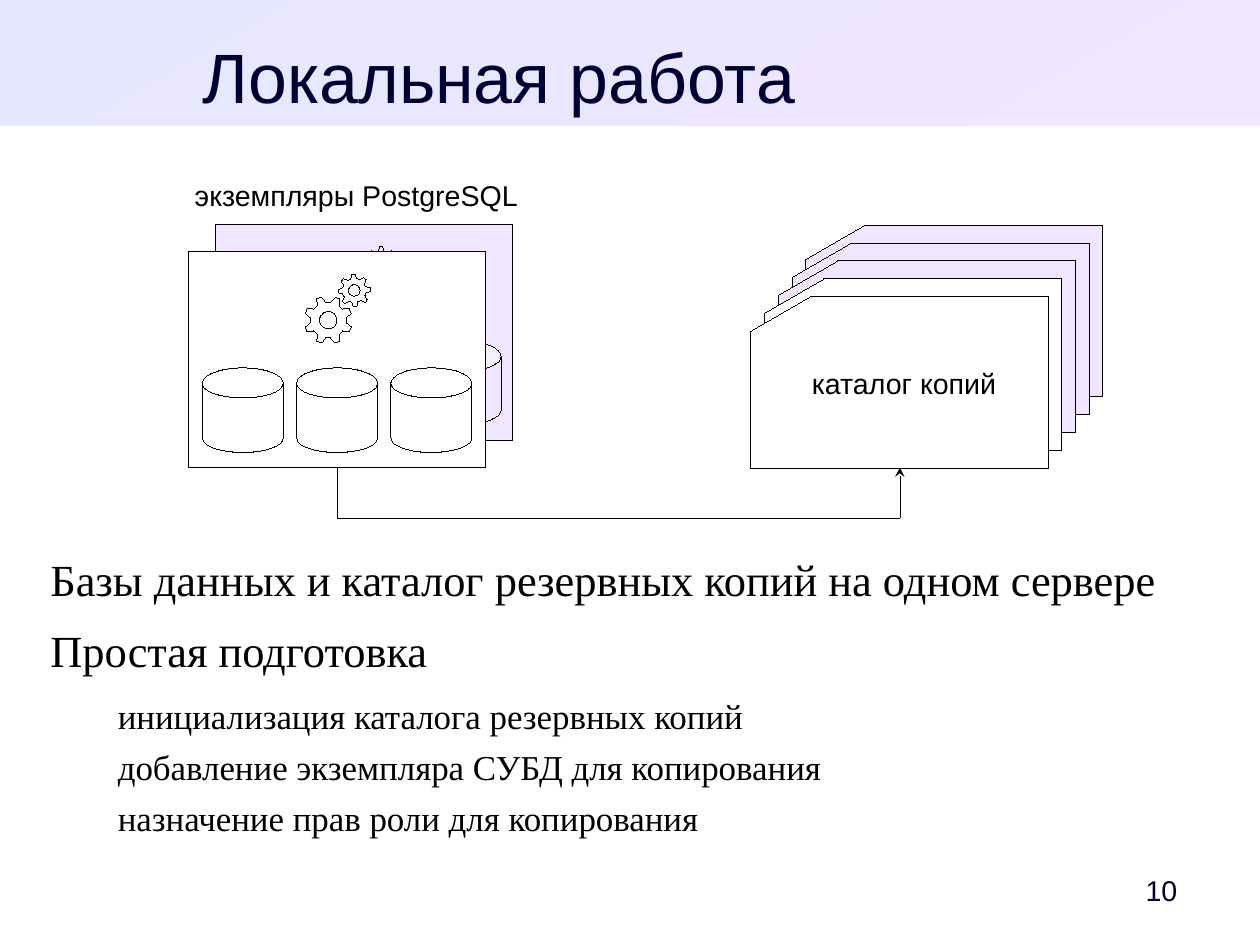
"""Builds the slide on running backups locally."""
from itertools import pairwise
from math import cos, radians, sin

from lxml.etree import SubElement
from pptx import Presentation
from pptx.dml.color import RGBColor
from pptx.enum.shapes import MSO_CONNECTOR as Connector, MSO_SHAPE as Shape
from pptx.enum.text import MSO_ANCHOR as Anchor, MSO_AUTO_SIZE as AutoSize, PP_ALIGN as Align
from pptx.oxml.ns import qn
from pptx.util import Pt

NAVY = RGBColor(0x00, 0x00, 0x33)
BLACK = RGBColor(0x00, 0x00, 0x00)
WHITE = RGBColor(0xFF, 0xFF, 0xFF)
LILAC = RGBColor(0xF0, 0xE6, 0xFF)
PERIWINKLE = RGBColor(0xE6, 0xE6, 0xFF)
SANS, SERIF = "Arial", "Times New Roman"

TITLE = "Локальная работа"
PAGE_NUMBER = "10"
POINTS = [
    (0, "Базы данных и каталог резервных копий на одном сервере"),
    (0, "Простая подготовка"),
    (1, "инициализация каталога резервных копий"),
    (1, "добавление экземпляра СУБД для копирования"),
    (1, "назначение прав роли для копирования"),
]
POINT_STYLES = [(28, 11.3, 0), (22, 5.7, 42.5)]
LABELS = [
    ("экземпляры PostgreSQL", (114.5, 112.9, 220, 20)),
    ("каталог копий", (503.3, 231.6, 132.5, 20)),
]

WIDTH, HEIGHT = 793.7, 595.28
BAND_HEIGHT = 79.2
HAIRLINE = 0.01
INSTANCE_SIZE = (187.2, 136.1)
BACK_INSTANCE, FRONT_INSTANCE = (135.8, 141.5), (118.8, 158.4)
BACK_DATABASE = (262.5, 214.5, 53.3, 53.3)
DATABASE_LEFT, DATABASE_TOP, DATABASE_STEP = 127.4, 231.8, 59.4
DATABASE_SIZE = (51.1, 53.3)
BACK_GEAR = (240.1, 165.6, 10.1, 0)
FRONT_GEARS = [(206.8, 201.6, 15.1, 22.5), (223.2, 182.9, 10.1, -3)]
CARD_LEFT, CARD_TOP, CARD_SIZE = 507.6, 141.8, (187.2, 108)
CARD_STEP_X, CARD_STEP_Y = -8.65, 11.3
CARD_FILLS = [LILAC, LILAC, LILAC, WHITE, WHITE]
TEETH = 8
FLOW = [(212.4, 294.5), (212.4, 326.6), (566.8, 326.6), (566.8, 294.5)]


def draw_line(line):
    line.color.rgb = BLACK
    line.width = Pt(HAIRLINE)


def outline(shape, color):
    shape.shadow.inherit = False
    shape.fill.solid()
    shape.fill.fore_color.rgb = color
    draw_line(shape.line)


def add_outlined(page, kind, frame, color):
    shape = page.shapes.add_shape(kind, *map(Pt, frame))
    outline(shape, color)
    return shape


def add_database(page, frame, color):
    add_outlined(page, Shape.CAN, frame, color).adjustments[0] = 0.37


def add_gear(page, center_x, center_y, radius, turn, color):
    def at(degrees, share):
        angle = radians(degrees)
        return (Pt(center_x + radius * share * cos(angle)),
                Pt(center_y + radius * share * sin(angle)))

    rim = [at(turn + tooth * 360 / TEETH + offset, share)
           for tooth in range(TEETH)
           for offset, share in ((-15, 0.75), (-6, 1), (6, 1), (15, 0.75))]
    hole = [at(degrees, 0.36) for degrees in range(0, -360, -15)]
    builder = page.shapes.build_freeform(*rim[0])
    builder.add_line_segments(rim[1:])
    builder.move_to(*hole[0])
    builder.add_line_segments(hole[1:])
    outline(builder.convert_to_shape(), color)


def prepare(frame, anchor):
    frame.margin_left = frame.margin_right = frame.margin_top = frame.margin_bottom = 0
    frame.word_wrap = True
    frame.auto_size = AutoSize.NONE
    frame.vertical_anchor = anchor


def style(para, font, size, color, align):
    para.alignment = align
    para.font.name, para.font.size = font, Pt(size)
    para.font.color.rgb = color


def add_line_text(page, text, frame, color, align):
    box = page.shapes.add_textbox(*map(Pt, frame))
    prepare(box.text_frame, Anchor.MIDDLE)
    box.text_frame.text = text
    style(box.text_frame.paragraphs[0], SANS, 18, color, align)


def add_header(page):
    title = page.shapes.title
    title.left, title.top, title.width, title.height = map(Pt, (33.8, 22.8, 561.6, 49))
    prepare(title.text_frame, Anchor.MIDDLE)
    title.text_frame.text = TITLE
    style(title.text_frame.paragraphs[0], SANS, 44, NAVY, Align.CENTER)
    band = page.shapes.add_shape(Shape.RECTANGLE, 0, 0, Pt(WIDTH), Pt(BAND_HEIGHT))
    band.shadow.inherit = False
    band.line.fill.background()
    band.fill.gradient()
    band.fill.gradient_angle = 300
    for stop, color in zip(band.fill.gradient_stops, (PERIWINKLE, LILAC)):
        stop.color.rgb = color
    title.element.addprevious(band.element)


def add_points(page):
    box = page.shapes.add_textbox(*map(Pt, (31.7, 347.8, 725.8, 194.4)))
    frame = box.text_frame
    prepare(frame, Anchor.TOP)
    for index, (level, text) in enumerate(POINTS):
        para = frame.add_paragraph() if index else frame.paragraphs[0]
        size, after, indent = POINT_STYLES[level]
        para.text, para.level = text, level
        para.space_after = Pt(after)
        para._p.get_or_add_pPr().set("marL", str(Pt(indent)))
        style(para, SERIF, size, BLACK, Align.LEFT)


def add_instances(page):
    add_outlined(page, Shape.RECTANGLE, BACK_INSTANCE + INSTANCE_SIZE, LILAC)
    add_database(page, BACK_DATABASE, LILAC)
    add_gear(page, *BACK_GEAR, LILAC)
    add_outlined(page, Shape.RECTANGLE, FRONT_INSTANCE + INSTANCE_SIZE, WHITE)
    for column in range(3):
        left = DATABASE_LEFT + column * DATABASE_STEP
        add_database(page, (left, DATABASE_TOP) + DATABASE_SIZE, WHITE)
    for gear in FRONT_GEARS:
        add_gear(page, *gear, WHITE)


def add_catalog(page):
    for index, color in enumerate(CARD_FILLS):
        corner = (CARD_LEFT + index * CARD_STEP_X, CARD_TOP + index * CARD_STEP_Y)
        add_outlined(page, Shape.FLOWCHART_CARD, corner + CARD_SIZE, color)


def add_flow(page):
    for start, end in pairwise(FLOW):
        segment = page.shapes.add_connector(Connector.STRAIGHT, *map(Pt, start + end))
        draw_line(segment.line)
        SubElement(segment.element.spPr, qn("a:effectLst"))
    SubElement(segment.line._get_or_add_ln(), qn("a:tailEnd"), type="stealth")


def main():
    deck = Presentation()
    deck.slide_width, deck.slide_height = Pt(WIDTH), Pt(HEIGHT)
    page = deck.slides.add_slide(deck.slide_layouts[5])
    add_header(page)
    add_instances(page)
    add_catalog(page)
    add_flow(page)
    for text, frame in LABELS:
        add_line_text(page, text, frame, BLACK, Align.CENTER)
    add_points(page)
    add_line_text(page, PAGE_NUMBER, (697.7, 543.7, 44, 34), NAVY, Align.RIGHT)
    deck.save("out.pptx")


if __name__ == "__main__":
    main()
